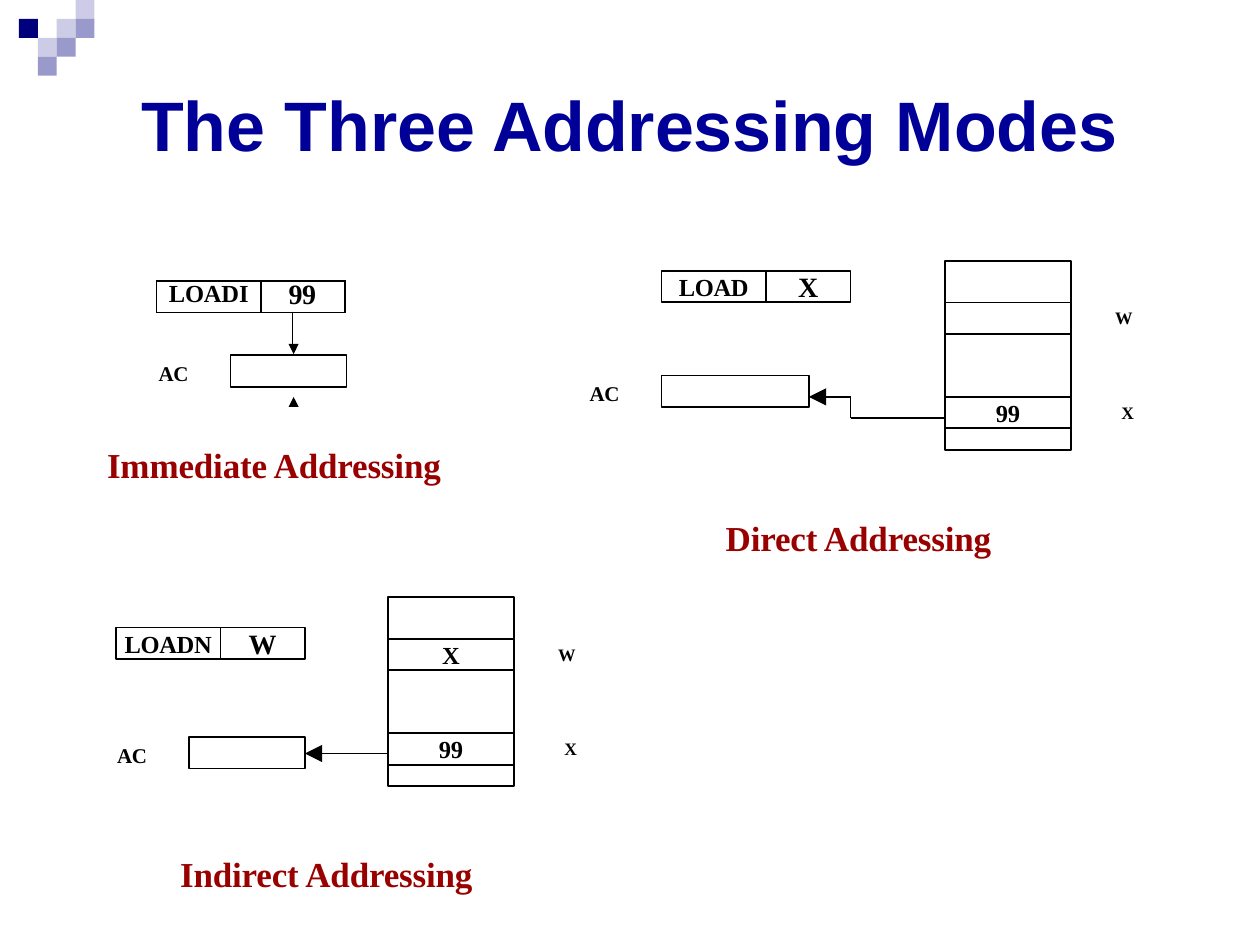
from lxml.etree import SubElement
from pptx import Presentation
from pptx.dml.color import RGBColor
from pptx.enum.shapes import MSO_CONNECTOR, MSO_SHAPE
from pptx.enum.text import MSO_ANCHOR, PP_ALIGN
from pptx.oxml import parse_xml
from pptx.oxml.ns import nsdecls, qn
from pptx.util import Inches, Pt

COLORS = {"ink": "000000", "title": "000099", "mode": "990000",
          "dark": "00007D", "mid": "9999CC", "light": "CCCCE6"}
SERIF = "Times New Roman"


def color(name):
    return RGBColor.from_string(COLORS[name])


def write(frame, text, size=14, ink="ink", font=SERIF, align=PP_ALIGN.LEFT,
          before=1, track=-0.2):
    """Put one bold line of text in a frame; track is letter spacing in points."""
    para = frame.paragraphs[0]
    para.alignment = align
    para.space_before = Pt(before)
    run = para.add_run()
    run.text = text
    run.font.size = Pt(size)
    run.font.name = font
    run.font.bold = True
    run.font.color.rgb = color(ink)
    run._r.get_or_add_rPr().set("spc", str(round(track * 100)))


def trim(frame, left=0, top=0):
    """Set the two insets that matter and clear the others."""
    frame.margin_left, frame.margin_top = Inches(left), Inches(top)
    frame.margin_right = frame.margin_bottom = 0
    frame.word_wrap = True


def label(slide, text, x, y, w, h, left=0.01, top=0.01, **style):
    frame = slide.shapes.add_textbox(
        Inches(x), Inches(y), Inches(w), Inches(h)).text_frame
    trim(frame, left, top)
    write(frame, text, **style)


def solid(slide, kind, x, y, size, fill):
    shape = slide.shapes.add_shape(
        kind, Inches(x), Inches(y), Inches(size), Inches(size))
    shape.shadow.inherit = False
    shape.fill.solid()
    shape.fill.fore_color.rgb = color(fill)
    shape.line.fill.background()
    return shape


def box(slide, x, y, w, h=0.25, text="", **style):
    shape = slide.shapes.add_shape(
        MSO_SHAPE.RECTANGLE, Inches(x), Inches(y), Inches(w), Inches(h))
    shape.shadow.inherit = False
    shape.fill.background()
    shape.line.color.rgb = color("ink")
    shape.line.width = Pt(1)
    if text:
        trim(shape.text_frame)
        shape.text_frame.vertical_anchor = MSO_ANCHOR.MIDDLE
        write(shape.text_frame, text, align=PP_ALIGN.CENTER, before=0, **style)


def wire(slide, *points):
    """Join points with straight lines; the last one ends in an arrowhead."""
    for start, end in zip(points, points[1:]):
        link = slide.shapes.add_connector(
            MSO_CONNECTOR.STRAIGHT, *(Inches(v) for v in start + end))
        link.line.color.rgb = color("ink")
        link.line.width = Pt(1)
        SubElement(link._element.spPr, qn("a:effectLst"))
    SubElement(link.line._get_or_add_ln(), qn("a:tailEnd"),
               type="triangle", w="lg", len="lg")


def order(slide, x, y, code, arg):
    """Draw an instruction: operation code and operand."""
    box(slide, x, y, 0.83, text=code)
    box(slide, x + 0.83, y, 0.67, text=arg, size=16, track=-0.5)


def store(slide, x, y, first=""):
    """Draw memory with cells W and X."""
    box(slide, x, y, 1, 1.5)
    box(slide, x, y + 0.33, 1, text=first)
    box(slide, x, y + 1.08, 1, text="99")
    label(slide, "W", x + 1.34, y + 0.36, 0.17, 0.19, size=10, track=-0.5)
    label(slide, "X", x + 1.39, y + 1.11, 0.13, 0.19, size=10, track=-0.5)


def accum(slide, x, y):
    label(slide, "AC", x, y, 0.3, 0.23, size=12)


def mode(slide, text, x, y, w):
    label(slide, text, x, y, w, 0.36, size=20, ink="mode", track=-0.1)


def edge(cell, sides):
    """Rule the sides named by L, R, T and B; leave the others bare."""
    cell.fill.background()
    props = cell._tc.get_or_add_tcPr()
    for i, side in enumerate("LRTB"):
        paint = (f'<a:solidFill><a:srgbClr val="{COLORS["ink"]}"/></a:solidFill>'
                 if side in sides else "<a:noFill/>")
        props.insert(i, parse_xml(
            f'<a:ln{side} {nsdecls("a")} w="12700">{paint}</a:ln{side}>'))


def grid(slide):
    """Table for the immediate instruction; its lower rule carries the arrow."""
    table = slide.shapes.add_table(
        2, 3, Inches(1.24), Inches(2.23), Inches(1.5), Inches(0.51)).table
    table.first_row = table.horz_banding = False
    for col, w in zip(table.columns, (0.83, 0.25, 0.42)):
        col.width = Inches(w)
    for row, h in zip(table.rows, (0.25, 0.26)):
        row.height = Inches(h)
    sides = (("LRTB", "LRTB", "LRTB"), ("TR", "TR", "LT"))
    for r, line in enumerate(sides):
        for c, names in enumerate(line):
            cell = table.cell(r, c)
            edge(cell, names)
            cell.margin_left = cell.margin_right = 0
            cell.margin_top = cell.margin_bottom = 0
            cell.text_frame.paragraphs[0]._p.get_or_add_endParaRPr().set("sz", "1000")
    table.cell(0, 1).merge(table.cell(0, 2))
    table.cell(1, 0).merge(table.cell(1, 1))
    code, arg = table.cell(0, 0), table.cell(0, 1)
    code.margin_left, arg.margin_left = Inches(0.1), Inches(0.22)
    write(code.text_frame, "LOADI", before=0.1, track=-0.1)
    write(arg.text_frame, "99", size=16, before=0)
    arg.text_frame.paragraphs[0].line_spacing = Pt(17)


def motif(slide):
    step = 0.15
    tiles = {"light": ((3, 1), (4, 0), (2, 2)), "dark": ((1, 1),),
             "mid": ((4, 1), (3, 2), (2, 3))}
    for fill, spots in tiles.items():
        for col, row in spots:
            solid(slide, MSO_SHAPE.RECTANGLE, col * step, row * step, step, fill)


def main():
    deck = Presentation()
    deck.slide_width, deck.slide_height = Inches(10), Inches(7.5)
    slide = deck.slides.add_slide(deck.slide_layouts[6])
    motif(slide)
    label(slide, "The Three Addressing Modes", 0.56, 0.51, 8.89, 0.99,
          left=0.56, top=0.14, size=40, ink="title", font="Arial", track=0)

    grid(slide)
    solid(slide, MSO_SHAPE.ISOSCELES_TRIANGLE, 2.29, 3.15, 0.08, "ink")
    tip = solid(slide, MSO_SHAPE.ISOSCELES_TRIANGLE, 2.29, 2.73, 0.08, "ink")
    tip.rotation = 180
    box(slide, 1.83, 2.82, 0.92)
    accum(slide, 1.25, 2.85)
    mode(slide, "Immediate Addressing", 0.84, 3.51, 2.8)

    order(slide, 5.25, 2.15, "LOAD", "X")
    store(slide, 7.5, 2.07)
    box(slide, 5.25, 2.98, 1.17)
    wire(slide, (7.5, 3.32), (6.75, 3.32), (6.75, 3.15), (6.42, 3.15))
    accum(slide, 4.67, 3.01)
    mode(slide, "Direct Addressing", 5.75, 4.09, 2.25)

    order(slide, 0.92, 4.98, "LOADN", "W")
    store(slide, 3.08, 4.74, "X")
    box(slide, 1.5, 5.85, 0.92)
    wire(slide, (3.08, 5.98), (2.42, 5.98))
    accum(slide, 0.92, 5.88)
    mode(slide, "Indirect Addressing", 1.42, 6.76, 2.5)
    deck.save("out.pptx")


if __name__ == "__main__":
    main()
